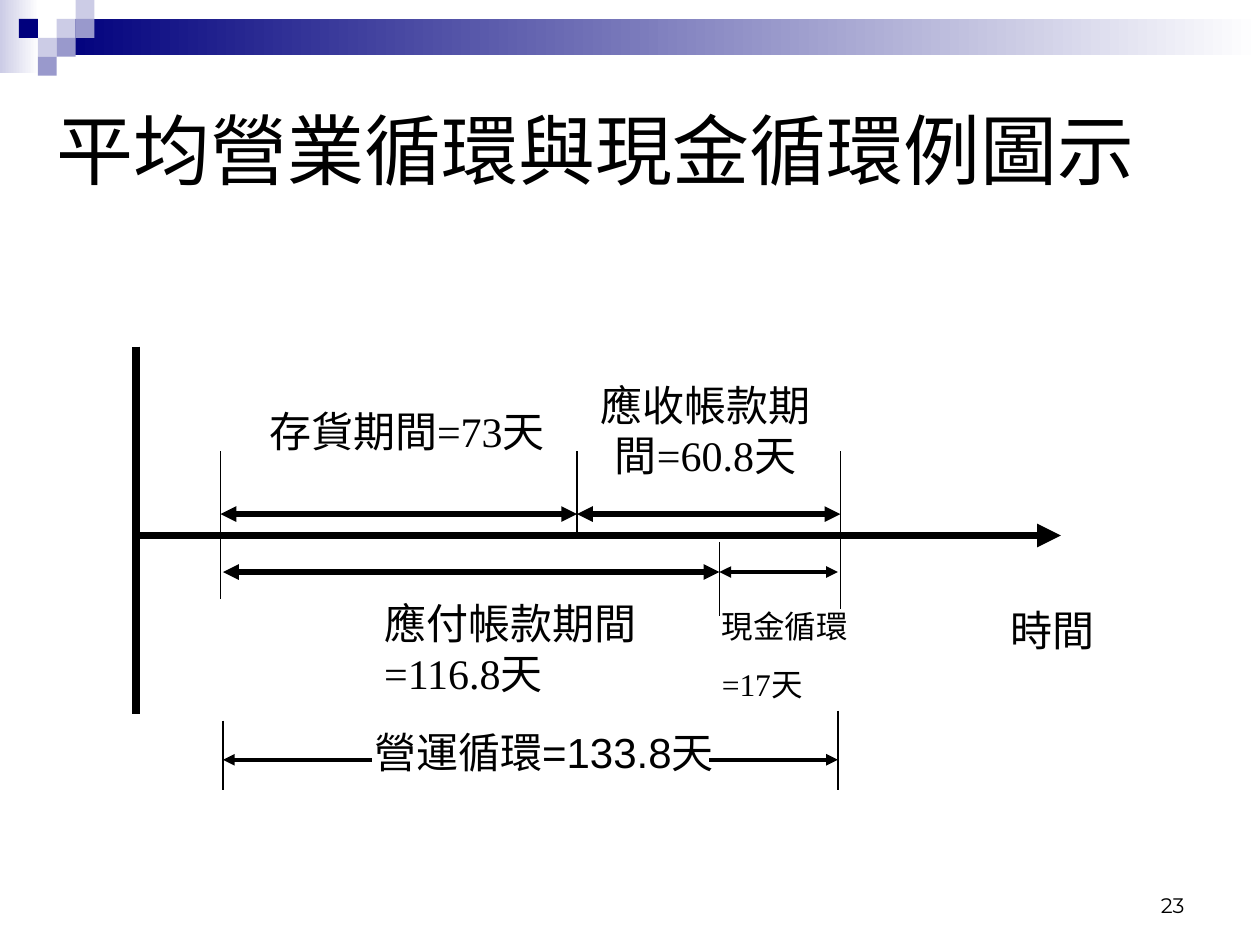
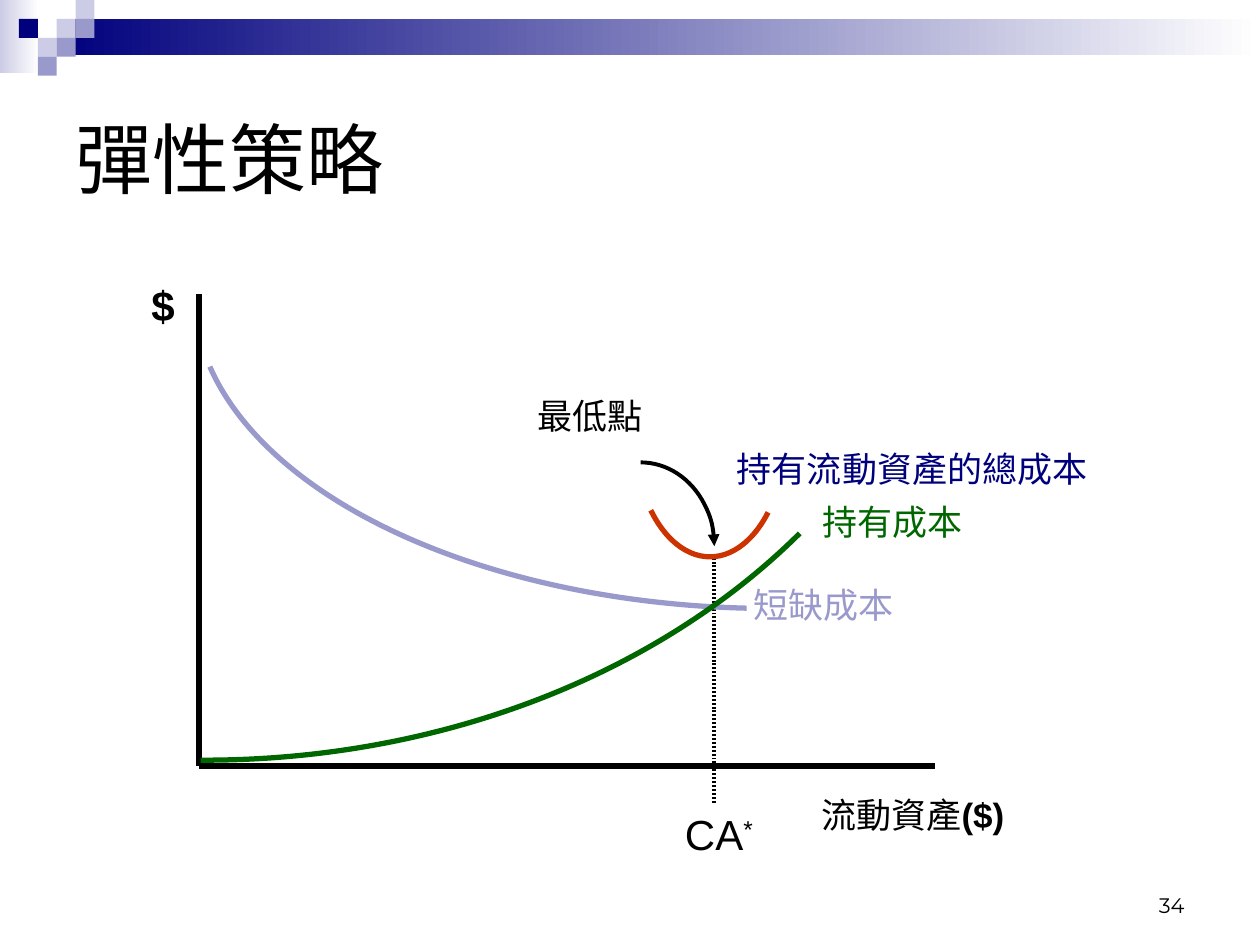
from dataclasses import dataclass
from typing import Optional

from lxml.etree import SubElement
from pptx import Presentation
from pptx.dml.color import RGBColor
from pptx.dml.line import LineFormat
from pptx.enum.shapes import MSO_CONNECTOR, MSO_SHAPE
from pptx.enum.text import MSO_ANCHOR, MSO_AUTO_SIZE, PP_ALIGN
from pptx.oxml.ns import qn
from pptx.slide import Slide, SlideLayout
from pptx.text.text import Font
from pptx.util import Inches, Pt


@dataclass(frozen=True)
class Theme:
    black: str = "000000"
    white: str = "FFFFFF"
    navy: str = "00007D"
    lavender: str = "9999CC"
    pale: str = "CCCCE6"
    green: str = "006600"
    red: str = "CC3300"
    sans: str = "Arial"
    serif: str = "Times New Roman"
    number_font: str = "Montserrat"
    title_size: float = 44
    large: float = 24
    medium: float = 20
    small: float = 18
    number_size: float = 12
    space_ratio: float = 0.625
    hairline: float = 0.75
    thin: float = 2.25
    medium_line: float = 3
    thick: float = 4.5


THEME = Theme()


@dataclass(frozen=True)
class Area:
    left: float
    top: float
    width: float
    height: float

    def lengths(self) -> tuple:
        return tuple(Inches(n) for n in (self.left, self.top, self.width, self.height))


@dataclass(frozen=True)
class Block:
    area: Area
    color: str
    fade_to: Optional[str] = None


@dataclass(frozen=True)
class Label:
    text: str
    area: Area
    size: float = THEME.large
    font: str = THEME.serif
    color: str = THEME.black
    align: PP_ALIGN = PP_ALIGN.LEFT
    bold: bool = False
    bold_suffix: str = ""
    superscript: str = ""


@dataclass(frozen=True)
class Segment:
    start: tuple[float, float]
    end: tuple[float, float]
    width: float = THEME.hairline
    arrow_start: bool = False
    arrow_end: bool = False
    dotted: bool = False


@dataclass(frozen=True)
class Arc:
    area: Area
    from_angle: float
    to_angle: float
    color: str
    width: float = THEME.medium_line
    tilt: float = 0
    arrow_end: bool = False


DEGREE = 0.6
SQUARE = 0.15
SQUARES = (
    (0.45, 0.15, THEME.pale),
    (0.6, 0, THEME.pale),
    (0.6, 0.15, THEME.lavender),
    (0.3, 0.3, THEME.pale),
    (0.15, 0.15, THEME.navy),
    (0.45, 0.3, THEME.lavender),
    (0.3, 0.45, THEME.lavender),
)
HEADER = (
    Block(Area(0, 0, 0.31, 0.58), THEME.pale, THEME.white),
    Block(Area(0.45, 0.15, 9.55, 0.29), THEME.navy, THEME.white),
    *(Block(Area(left, top, SQUARE, SQUARE), color) for left, top, color in SQUARES),
)
NUMBER_AREA = Area(7.17, 6.83, 2.33, 0.5)


def style_font(font: Font, name: str, size: float, color: str, bold: bool = False) -> None:
    font.name = name
    font.size = Pt(size)
    font.bold = bold
    font.color.rgb = RGBColor.from_string(color)


def style_line(line: LineFormat, color: str, width: float, arrow_start: bool = False,
               arrow_end: bool = False, dotted: bool = False) -> None:
    line.color.rgb = RGBColor.from_string(color)
    line.width = Pt(width)
    if dotted:
        dashes = SubElement(line._get_or_add_ln(), qn("a:custDash"))
        SubElement(dashes, qn("a:ds"), d="50000", sp="50000")
    for wanted, tag in ((arrow_start, "a:headEnd"), (arrow_end, "a:tailEnd")):
        if wanted:
            SubElement(line._get_or_add_ln(), qn(tag), type="triangle")


def draw_block(page: Slide, block: Block):
    shape = page.shapes.add_shape(MSO_SHAPE.RECTANGLE, *block.area.lengths())
    shape.shadow.inherit = False
    shape.line.fill.background()
    if block.fade_to is None:
        shape.fill.solid()
        shape.fill.fore_color.rgb = RGBColor.from_string(block.color)
    else:
        shape.fill.gradient()
        shape.fill.gradient_angle = 180
        for stop, color in zip(shape.fill.gradient_stops, (block.fade_to, block.color)):
            stop.color.rgb = RGBColor.from_string(color)
    return shape


def draw_label(page: Slide, label: Label) -> None:
    box = page.shapes.add_textbox(*label.area.lengths())
    frame = box.text_frame
    frame.word_wrap = True
    frame.text = label.text
    for para in frame.paragraphs:
        para.alignment = label.align
        para.space_before = Pt(label.size * THEME.space_ratio)
        for span in para.runs:
            style_font(span.font, label.font, label.size, label.color, label.bold)
    suffix = label.bold_suffix or label.superscript
    if suffix:
        span = frame.paragraphs[-1].add_run()
        span.text = suffix
        style_font(span.font, label.font, label.size, label.color, bool(label.bold_suffix))
        if label.superscript:
            span._r.get_or_add_rPr().set("baseline", "30000")


def draw_segment(page: Slide, segment: Segment) -> None:
    ends = (Inches(n) for n in (*segment.start, *segment.end))
    connector = page.shapes.add_connector(MSO_CONNECTOR.STRAIGHT, *ends)
    style_line(connector.line, THEME.black, segment.width, segment.arrow_start,
               segment.arrow_end, segment.dotted)
    SubElement(connector._element.spPr, qn("a:effectLst"))


def draw_arc(page: Slide, arc: Arc) -> None:
    curve = page.shapes.add_shape(MSO_SHAPE.ARC, *arc.area.lengths())
    curve.adjustments[0] = arc.from_angle * DEGREE
    curve.adjustments[1] = arc.to_angle * DEGREE
    curve.rotation = arc.tilt
    curve.shadow.inherit = False
    curve.fill.background()
    style_line(curve.line, arc.color, arc.width, arrow_end=arc.arrow_end)


def add_page(deck: Presentation, layout: SlideLayout, title: str, area: Area, number: int) -> Slide:
    page = deck.slides.add_slide(layout)
    heading = page.shapes.title
    heading.left, heading.top, heading.width, heading.height = area.lengths()
    frame = heading.text_frame
    frame.text = title
    frame.auto_size = MSO_AUTO_SIZE.NONE
    frame.vertical_anchor = MSO_ANCHOR.MIDDLE
    frame.paragraphs[0].alignment = PP_ALIGN.LEFT
    style_font(frame.paragraphs[0].runs[0].font, THEME.sans, THEME.title_size, THEME.black)

    box = page.shapes.add_textbox(*NUMBER_AREA.lengths())
    box.text_frame.word_wrap = True
    box.text_frame.text = str(number)
    box.text_frame.vertical_anchor = MSO_ANCHOR.BOTTOM
    para = box.text_frame.paragraphs[0]
    para.alignment = PP_ALIGN.RIGHT
    style_font(para.runs[0].font, THEME.number_font, THEME.number_size, THEME.black)
    return page


def move_header_to_layout(page: Slide, layout: SlideLayout) -> None:
    for block in HEADER:
        layout.shapes._spTree.append(draw_block(page, block)._element)


def draw_cycles(page: Slide) -> None:
    axis_left, axis_level = 1.08, 4.25
    begin, sold, paid, collected = 1.75, 4.58, 5.71, 6.67
    lower_begin, lower_end = 1.77, 6.65
    upper, lower, operating = 4.08, 4.54, 6.03
    segments = (
        Segment((axis_left, 2.75), (axis_left, 5.67), THEME.thick),
        Segment((axis_left, axis_level), (8.42, axis_level), THEME.thick, arrow_end=True),
        Segment((begin, 3.58), (begin, 4.75)),
        Segment((collected, 3.58), (collected, 4.83)),
        Segment((sold, axis_level), (sold, 3.58)),
        Segment((paid, 4.3), (paid, 4.89)),
        Segment((lower_begin, 5.72), (lower_begin, 6.27)),
        Segment((lower_end, 5.64), (lower_end, 6.27)),
        Segment((begin, upper), (sold, upper), THEME.medium_line, True, True),
        Segment((sold, upper), (collected, upper), THEME.medium_line, True, True),
        Segment((lower_begin, lower), (paid, lower), THEME.medium_line, True, True),
        Segment((paid, lower), (lower_end, lower), THEME.thin, True, True),
        Segment((2.95, operating), (lower_begin, operating), THEME.thin, arrow_end=True),
        Segment((5.63, operating), (lower_end, operating), THEME.thin, arrow_end=True),
    )
    labels = (
        Label("時間", Area(7.92, 4.75, 1.58, 0.5)),
        Label("存貨期間=73天", Area(2.01, 3.17, 2.44, 0.9), align=PP_ALIGN.CENTER),
        Label("應收帳款期間=60.8天", Area(4.61, 2.96, 1.98, 0.9), align=PP_ALIGN.CENTER),
        Label("應付帳款期間=116.8天", Area(2.95, 4.69, 2.25, 0.9)),
        Label("現金循環\n=17天", Area(5.63, 4.77, 1.42, 0.86), THEME.small),
        Label("營運循環=133.8天", Area(2.87, 5.72, 2.91, 0.9), font=THEME.sans),
    )
    for segment in segments:
        draw_segment(page, segment)
    for label in labels:
        draw_label(page, label)


def draw_strategy(page: Slide) -> None:
    origin = (1.58, 6.08)
    optimum = 5.67
    segments = (
        Segment(origin, (origin[0], 2.33), THEME.medium_line),
        Segment(origin, (7.42, origin[1]), THEME.medium_line),
        Segment((optimum, 6.37), (optimum, 4.42), THEME.thin, dotted=True),
    )
    arcs = (
        Arc(Area(1.54, -0.17, 9.19, 5), 94.8, 172.6, THEME.lavender),
        Arc(Area(5.03, 2.42, 1.21, 2), 54.5, 126.7, THEME.red),
        Arc(Area(4.5, 3.67, 1.17, 1.33), 270, 0, THEME.black, THEME.thin, arrow_end=True),
        Arc(Area(-4.76, -3.97, 12.46, 10), 30.2, 85.5, THEME.green, tilt=3.1),
    )
    labels = (
        Label("$", Area(0.92, 2.17, 0.75, 0.5), font=THEME.sans, align=PP_ALIGN.CENTER, bold=True),
        Label("流動資產", Area(5.83, 6.25, 2.83, 0.44), THEME.medium, THEME.sans,
              align=PP_ALIGN.CENTER, bold_suffix="($)"),
        Label("短缺成本", Area(5.88, 4.58, 2.25, 0.44), THEME.medium, color=THEME.lavender),
        Label("持有成本", Area(5.75, 3.92, 2.67, 0.44), THEME.medium, color=THEME.green,
              align=PP_ALIGN.CENTER),
        Label("持有流動資產的總成本", Area(5.75, 3.5, 3.75, 0.44), THEME.medium, color=THEME.navy),
        Label("CA", Area(5.08, 6.37, 1.25, 0.5), font=THEME.sans, align=PP_ALIGN.CENTER,
              superscript="*"),
        Label("最低點", Area(4.17, 3.08, 1.58, 0.44), THEME.medium),
    )
    for segment in segments:
        draw_segment(page, segment)
    for arc in arcs:
        draw_arc(page, arc)
    for label in labels:
        draw_label(page, label)


def main() -> None:
    deck = Presentation()
    deck.slide_width, deck.slide_height = Inches(10), Inches(7.5)
    layout = deck.slide_layouts.get_by_name("Title Only")
    cycles = add_page(deck, layout, "平均營業循環與現金循環例圖示", Area(0.35, 0.68, 9.21, 1), 23)
    move_header_to_layout(cycles, layout)
    draw_cycles(cycles)
    draw_strategy(add_page(deck, layout, "彈性策略", Area(0.5, 0.5, 9, 1.5), 34))
    deck.save("out.pptx")


if __name__ == "__main__":
    main()
